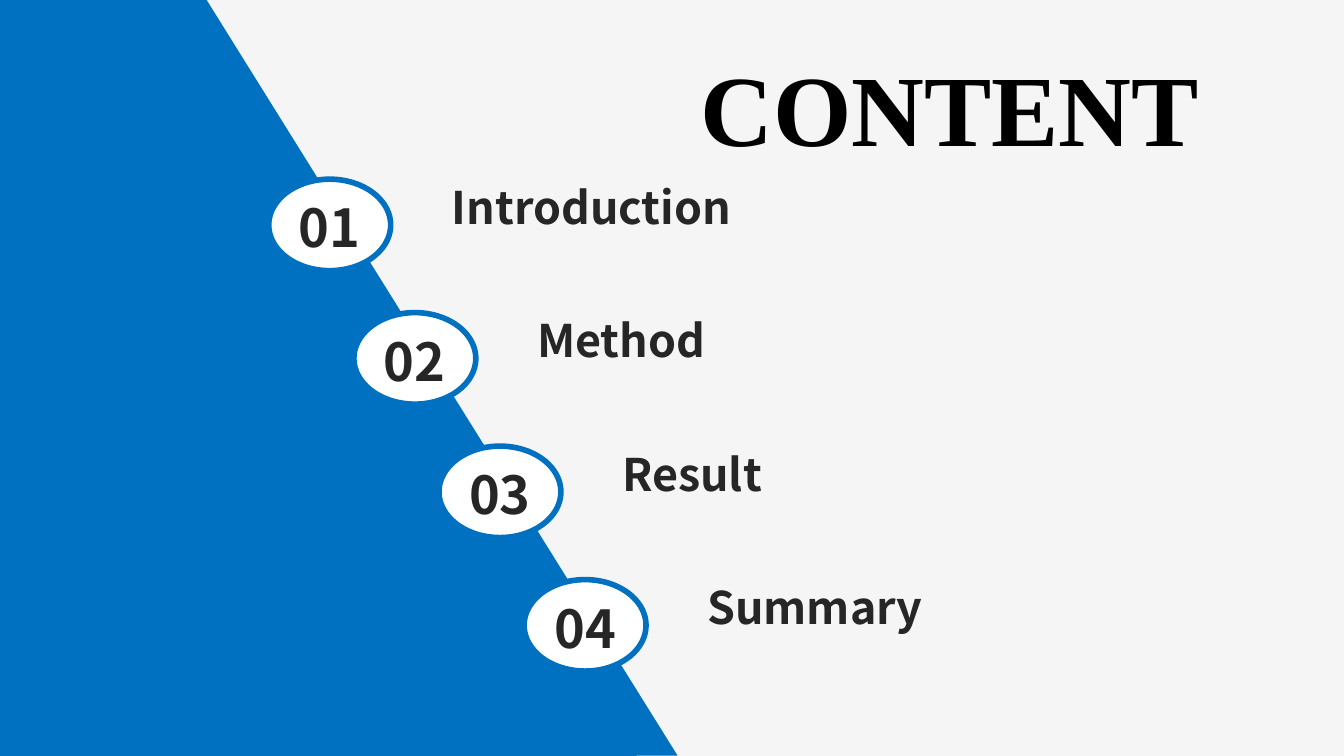
from pptx import Presentation
from pptx.dml.color import RGBColor
from pptx.enum.shapes import MSO_SHAPE
from pptx.enum.text import MSO_ANCHOR, PP_ALIGN
from pptx.util import Pt

BLUE, INK = "0070C0", "262626"
SANS, SERIF = "Noto Sans CJK SC", "Times New Roman"
TOPICS = ["Introduction", "Method", "Result", "Summary"]
STEP_X, STEP_Y = 45.6, 71.5


def color(value):
    return RGBColor.from_string(value)


def add_text(shapes, box, text, size, font=SANS, ink=INK,
             align=PP_ALIGN.LEFT, spacing=0.9, inset_top=3.6):
    left, top, width, height = box
    frame = shapes.add_textbox(Pt(left), Pt(top), Pt(width), Pt(height)).text_frame
    frame.word_wrap = True
    frame.vertical_anchor = MSO_ANCHOR.TOP
    frame.margin_top = Pt(inset_top)
    para = frame.paragraphs[0]
    para.alignment = align
    para.line_spacing = spacing
    span = para.add_run()
    span.text = text
    span.font.name = font
    span.font.size = Pt(size)
    span.font.bold = True
    span.font.color.rgb = color(ink)


def add_side_panel(page, box):
    """Blue panel with a slanted right edge."""
    left, top, width, height = box
    right, bottom = left + width, top + height
    outline = page.shapes.build_freeform(Pt(left), Pt(top))
    outline.add_line_segments([
        (Pt(left + 112.3), Pt(top)),
        (Pt(right), Pt(bottom - 2)),
        (Pt(left + 1.5), Pt(bottom)),
    ])
    panel = outline.convert_to_shape()
    panel.shadow.inherit = False
    panel.fill.solid()
    panel.fill.fore_color.rgb = color(BLUE)
    panel.line.fill.background()


def add_badge(page, box, number):
    """Numbered oval, grouped with its label."""
    left, top, width, height = box
    shapes = page.shapes.add_group_shape().shapes
    oval = shapes.add_shape(MSO_SHAPE.OVAL, Pt(left), Pt(top), Pt(width), Pt(height))
    oval.shadow.inherit = False
    oval.fill.solid()
    oval.fill.fore_color.rgb = color("FFFFFF")
    oval.line.color.rgb = color(BLUE)
    oval.line.width = Pt(3)
    add_text(shapes, (left + 6, top + 9, width - 12, 31), f"{number:02d}", 28,
             align=PP_ALIGN.CENTER)


def add_agenda(page, left, top):
    """Badges and topics stepping down along the slanted edge."""
    for index, topic in enumerate(TOPICS):
        x, y = left + index * STEP_X, top + index * STEP_Y
        right = 674.6 if index < 2 else 720
        add_badge(page, (x, y, 65.3, 49), index + 1)
        add_text(page.shapes, (x + 91, y, right - x - 91, 27.4), topic, 24)


def main():
    deck = Presentation()
    deck.slide_width, deck.slide_height = Pt(720), Pt(405)
    page = deck.slides.add_slide(deck.slide_layouts[6])
    page.background.fill.solid()
    page.background.fill.fore_color.rgb = color("F5F5F5")

    add_side_panel(page, (-2, -0.7, 365, 407.5))
    add_agenda(page, 144, 96)
    # Title
    add_text(page.shapes, (343.4, 15.1, 331.2, 54.7), "CONTENT", 54, SERIF, "000000",
             PP_ALIGN.CENTER, spacing=1.0, inset_top=9.6)
    deck.save("out.pptx")


if __name__ == "__main__":
    main()
